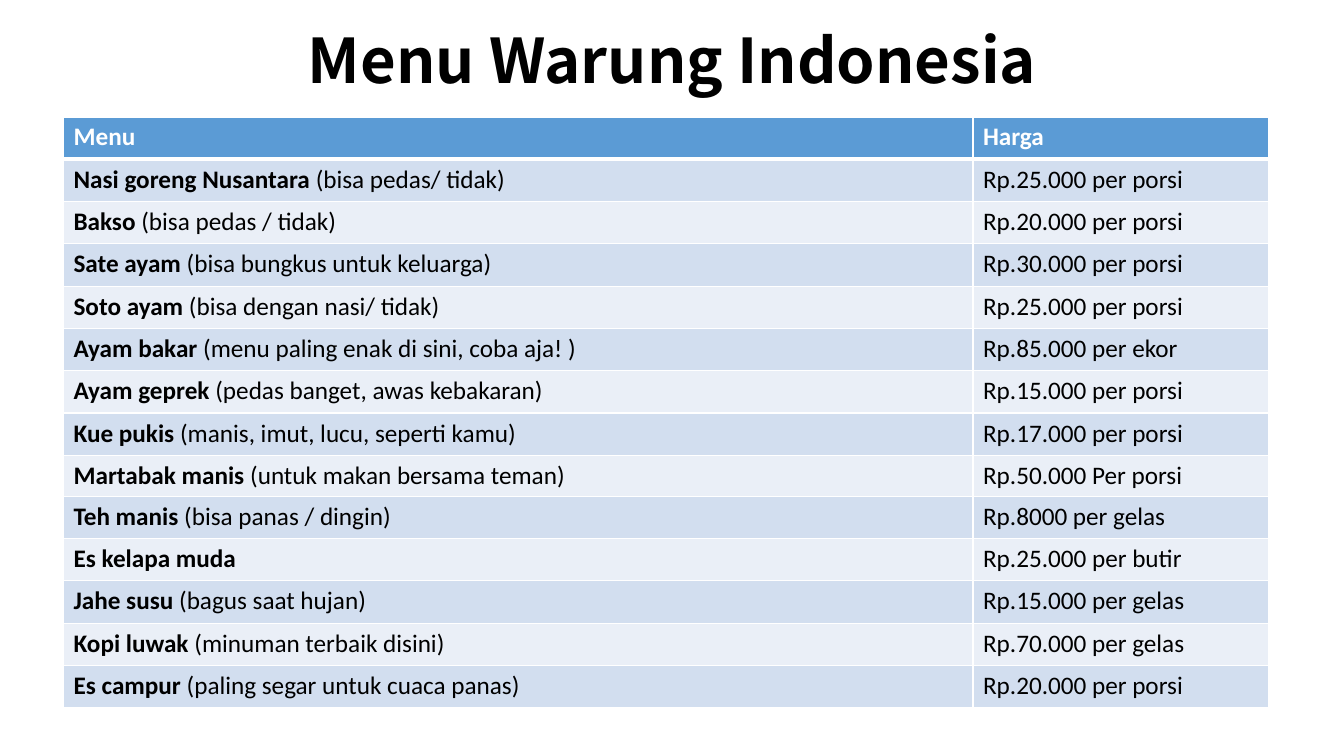
from typing import NamedTuple

from lxml.etree import SubElement
from pptx import Presentation
from pptx.dml.color import RGBColor
from pptx.enum.text import MSO_ANCHOR, PP_ALIGN
from pptx.oxml.ns import qn
from pptx.util import Inches, Pt

WHITE = RGBColor(0xFF, 0xFF, 0xFF)
BLACK = RGBColor(0x00, 0x00, 0x00)
HEADER_BLUE = RGBColor(0x5B, 0x9B, 0xD5)
BAND_DARK = RGBColor(0xD2, 0xDE, 0xEF)
BAND_LIGHT = RGBColor(0xEA, 0xEF, 0xF7)

TITLE_FORMAT = {"name": "Noto Sans CJK SC", "size": Pt(44), "bold": True}
CELL_FORMAT = {"name": "Calibri", "size": Pt(18)}
COLUMN_WIDTHS = (9.02, 2.93)
ROW_HEIGHT = 0.42
SHORT_ROW, SHORT_HEIGHT = 8, 0.38


class Dish(NamedTuple):
    name: str
    note: str
    price: str


DISHES = [
    Dish("Nasi goreng Nusantara", "(bisa pedas/ tidak)", "Rp.25.000 per porsi"),
    Dish("Bakso", "(bisa pedas / tidak)", "Rp.20.000 per porsi"),
    Dish("Sate ayam", "(bisa bungkus untuk keluarga)", "Rp.30.000 per porsi"),
    Dish("Soto ayam", "(bisa dengan nasi/ tidak)", "Rp.25.000 per porsi"),
    Dish("Ayam bakar", "(menu paling enak di sini, coba aja! )", "Rp.85.000 per ekor"),
    Dish("Ayam geprek", "(pedas banget, awas kebakaran)", "Rp.15.000 per porsi"),
    Dish("Kue pukis", "(manis, imut, lucu, seperti kamu)", "Rp.17.000 per porsi"),
    Dish("Martabak manis", "(untuk makan bersama teman)", "Rp.50.000 Per porsi"),
    Dish("Teh manis", "(bisa panas / dingin)", "Rp.8000 per gelas"),
    Dish("Es kelapa muda", "", "Rp.25.000 per butir"),
    Dish("Jahe susu", "(bagus saat hujan)", "Rp.15.000 per gelas"),
    Dish("Kopi luwak", "(minuman terbaik disini)", "Rp.70.000 per gelas"),
    Dish("Es campur", "(paling segar untuk cuaca panas)", "Rp.20.000 per porsi"),
]


def add_run(p, text: str, color: RGBColor, font_format: dict) -> None:
    r = p.add_run()
    r.text = text
    for key, value in font_format.items():
        setattr(r.font, key, value)
    r.font.color.rgb = color


def add_border(cell, side: str, points: float) -> None:
    tc_pr = cell._tc.get_or_add_tcPr()
    line = SubElement(tc_pr, qn(f"a:ln{side}"), w=str(Pt(points)))
    fill = SubElement(line, qn("a:solidFill"))
    SubElement(fill, qn("a:srgbClr"), val=str(WHITE))


def style_cell(cell, row: int) -> None:
    widths = {"L": 1, "R": 1, "T": 3 if row == 1 else 1, "B": 3 if row == 0 else 1}
    for side, points in widths.items():
        add_border(cell, side, points)
    cell.fill.solid()
    band = BAND_DARK if row % 2 else BAND_LIGHT
    cell.fill.fore_color.rgb = HEADER_BLUE if row == 0 else band


def add_title(s) -> None:
    title = s.shapes.title
    title.left, title.top = Inches(0.92), Inches(0.1)
    title.width, title.height = Inches(11.5), Inches(1.06)
    tf = title.text_frame
    tf.word_wrap = True
    tf.vertical_anchor = MSO_ANCHOR.MIDDLE
    p = tf.paragraphs[0]
    p.alignment = PP_ALIGN.CENTER
    p.line_spacing = 0.9
    add_run(p, "Menu Warung Indonesia", BLACK, TITLE_FORMAT)


def add_menu(s) -> None:
    rows = len(DISHES) + 1
    height = ROW_HEIGHT * (rows - 1) + SHORT_HEIGHT
    table = s.shapes.add_table(
        rows, len(COLUMN_WIDTHS), Inches(0.63), Inches(1.16),
        Inches(sum(COLUMN_WIDTHS)), Inches(height),
    ).table
    for column, width in zip(table.columns, COLUMN_WIDTHS):
        column.width = Inches(width)

    bold = CELL_FORMAT | {"bold": True}
    plain = CELL_FORMAT | {"bold": False}
    contents = [([("Menu", bold)], [("Harga", bold)])]
    for dish in DISHES:
        label = [(f"{dish.name} ", bold), (dish.note, plain)] if dish.note else [(dish.name, bold)]
        contents.append((label, [(dish.price, plain)]))

    for i, row_content in enumerate(contents):
        table.rows[i].height = Inches(SHORT_HEIGHT if i == SHORT_ROW else ROW_HEIGHT)
        for j, runs in enumerate(row_content):
            cell = table.cell(i, j)
            style_cell(cell, i)
            for text, font_format in runs:
                color = WHITE if i == 0 else BLACK
                add_run(cell.text_frame.paragraphs[0], text, color, font_format)


def main() -> None:
    prs = Presentation()
    prs.slide_width, prs.slide_height = Inches(13.33), Inches(7.5)
    s = prs.slides.add_slide(prs.slide_layouts.get_by_name("Title Only"))
    add_title(s)
    add_menu(s)
    prs.save("out.pptx")


if __name__ == "__main__":
    main()
